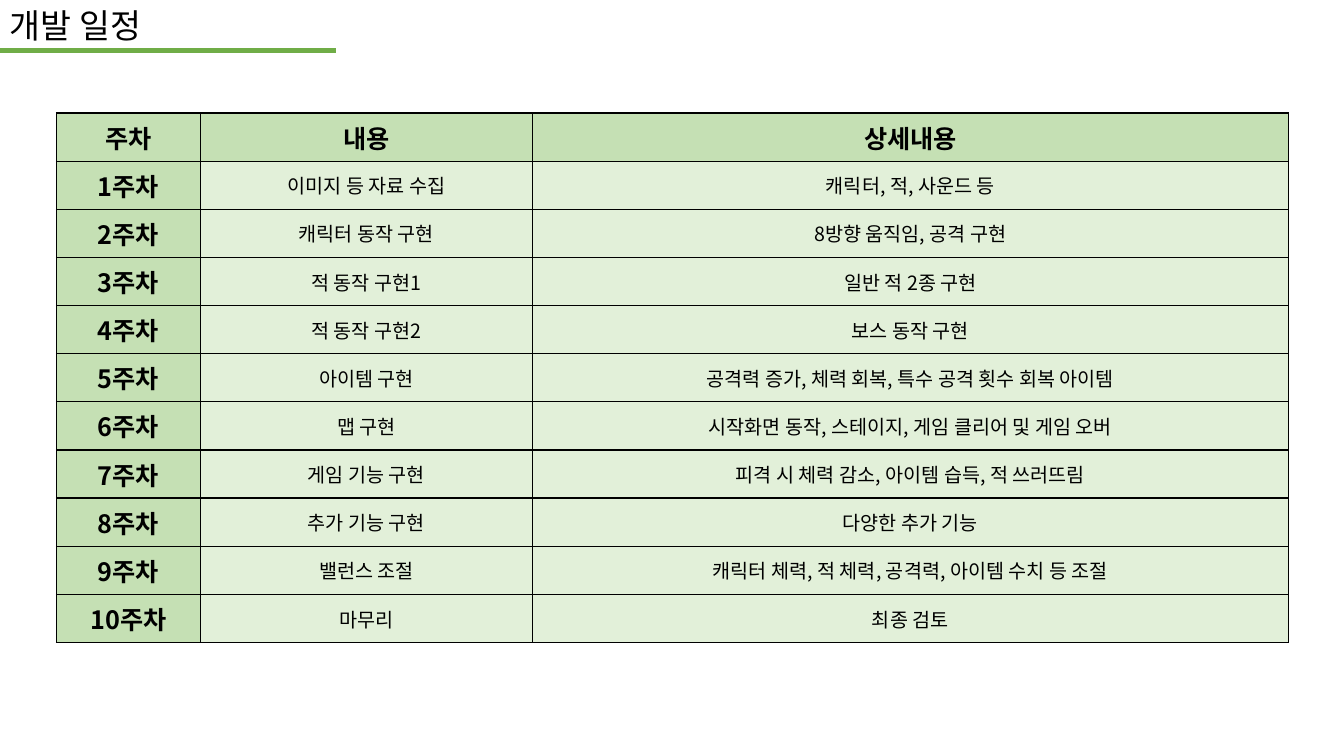
from lxml.etree import SubElement
from pptx import Presentation
from pptx.dml.color import RGBColor as RGB
from pptx.enum.shapes import MSO_CONNECTOR as CONN
from pptx.enum.text import MSO_ANCHOR as ANCHOR, MSO_AUTO_SIZE as AUTO, PP_ALIGN as ALIGN
from pptx.oxml.ns import qn
from pptx.util import Pt

FONT = "Noto Sans CJK KR"
COLORS = {"ink": "000000", "accent": "70AD47", "head": "C5E0B4", "body": "E2F0D9"}


def style_run(r, size, bold=False):
    r.font.size = Pt(size)
    r.font.bold = bold
    r.font.color.rgb = RGB.from_string(COLORS["ink"])
    r.font.name = FONT
    SubElement(r.font._element, qn("a:ea"), typeface=FONT)


def add_borders(cell):
    tcPr = cell._tc.get_or_add_tcPr()
    for i, side in enumerate(("lnL", "lnR", "lnT", "lnB")):
        ln = tcPr.makeelement(qn(f"a:{side}"), {"w": str(Pt(1))})
        fill = SubElement(ln, qn("a:solidFill"))
        SubElement(fill, qn("a:srgbClr"), val=COLORS["ink"])
        tcPr.insert(i, ln)


prs = Presentation()
prs.slide_width, prs.slide_height = Pt(960), Pt(540)
s = prs.slides.add_slide(prs.slide_layouts[6])

title = s.shapes.add_textbox(Pt(0), Pt(0), Pt(120), Pt(36))
tf = title.text_frame
tf.word_wrap = False
tf.auto_size = AUTO.SHAPE_TO_FIT_TEXT
tf.text = "개발 일정"
style_run(tf.paragraphs[0].runs[0], 24)

rule = s.shapes.add_connector(CONN.STRAIGHT, Pt(0), Pt(36), Pt(240), Pt(36))
rule.line.color.rgb = RGB.from_string(COLORS["accent"])
rule.line.width = Pt(3)
SubElement(rule._element.spPr, qn("a:effectLst"))

tasks = [
    ("이미지 등 자료 수집", "캐릭터, 적, 사운드 등"),
    ("캐릭터 동작 구현", "8방향 움직임, 공격 구현"),
    ("적 동작 구현1", "일반 적 2종 구현"),
    ("적 동작 구현2", "보스 동작 구현"),
    ("아이템 구현", "공격력 증가, 체력 회복, 특수 공격 횟수 회복 아이템"),
    ("맵 구현", "시작화면 동작, 스테이지, 게임 클리어 및 게임 오버"),
    ("게임 기능 구현", "피격 시 체력 감소, 아이템 습득, 적 쓰러뜨림"),
    ("추가 기능 구현", "다양한 추가 기능"),
    ("밸런스 조절", "캐릭터 체력, 적 체력, 공격력, 아이템 수치 등 조절"),
    ("마무리", "최종 검토"),
]
rows = [("주차", "내용", "상세내용")]
rows += [(f"{week}주차", *task) for week, task in enumerate(tasks, 1)]
widths = [103, 237, 540]
row_height = 34.4

schedule = s.shapes.add_table(
    len(rows), len(widths), Pt(40.3), Pt(80.7), Pt(sum(widths)), Pt(row_height * len(rows))
).table
for column, width in zip(schedule.columns, widths):
    column.width = Pt(width)

for i, texts in enumerate(rows):
    schedule.rows[i].height = Pt(row_height)
    for j, text in enumerate(texts):
        is_head = i == 0 or j == 0
        cell = schedule.cell(i, j)
        cell.vertical_anchor = ANCHOR.MIDDLE
        cell.fill.solid()
        cell.fill.fore_color.rgb = RGB.from_string(COLORS["head" if is_head else "body"])
        add_borders(cell)
        cell.text_frame.text = text
        p = cell.text_frame.paragraphs[0]
        p.alignment = ALIGN.CENTER
        style_run(p.runs[0], 18 if is_head else 14, is_head)

prs.save("out.pptx")
